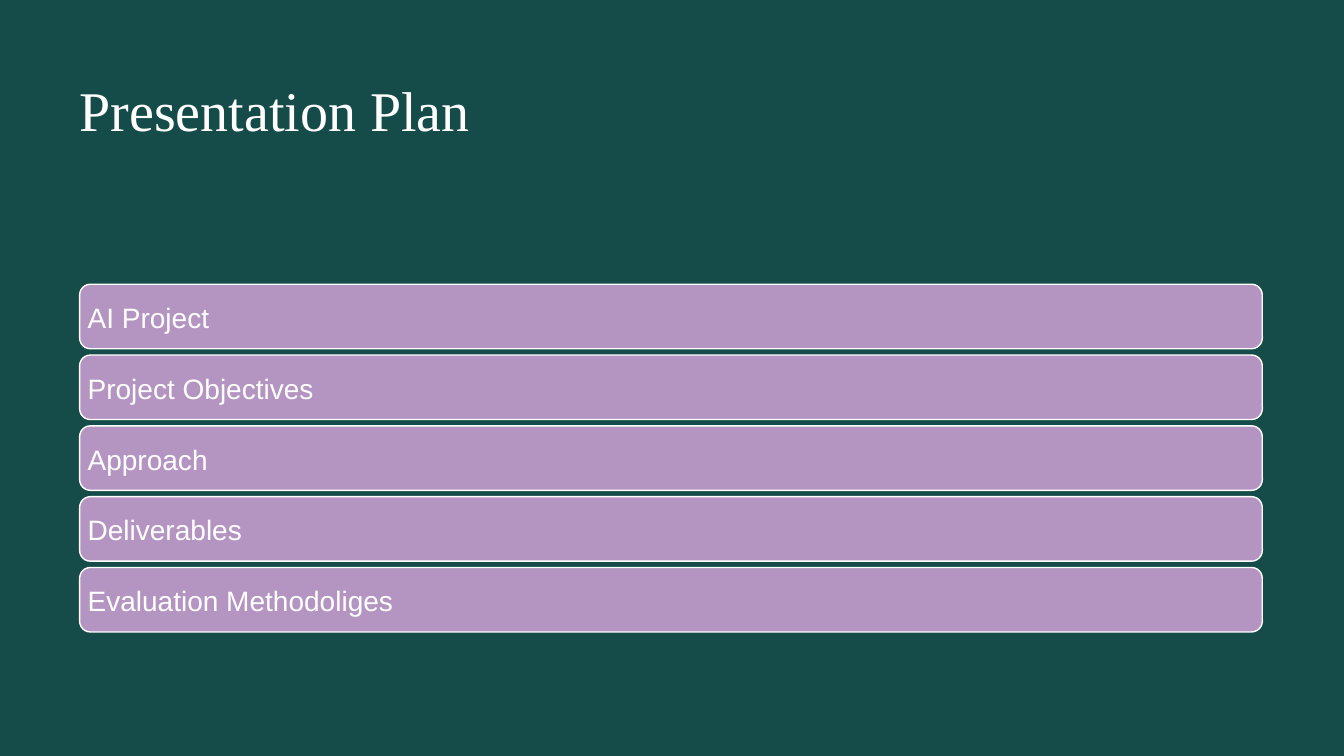
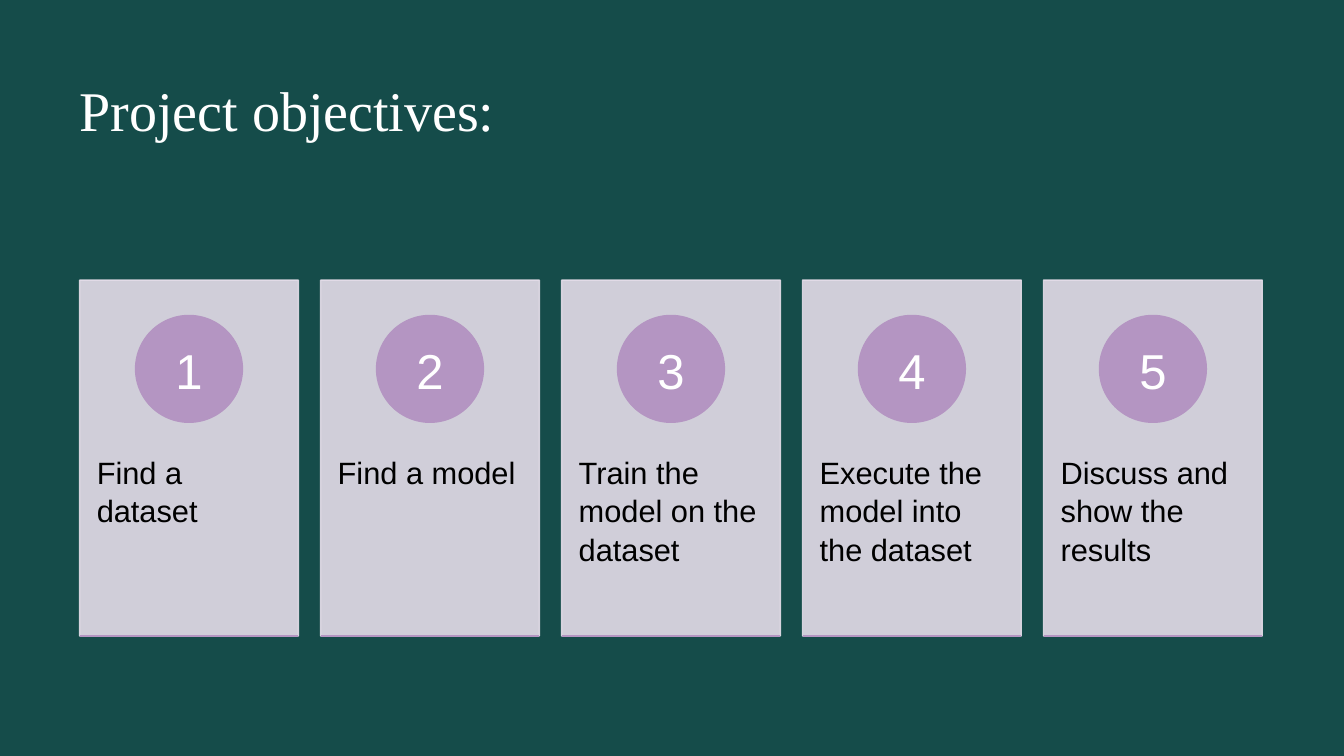
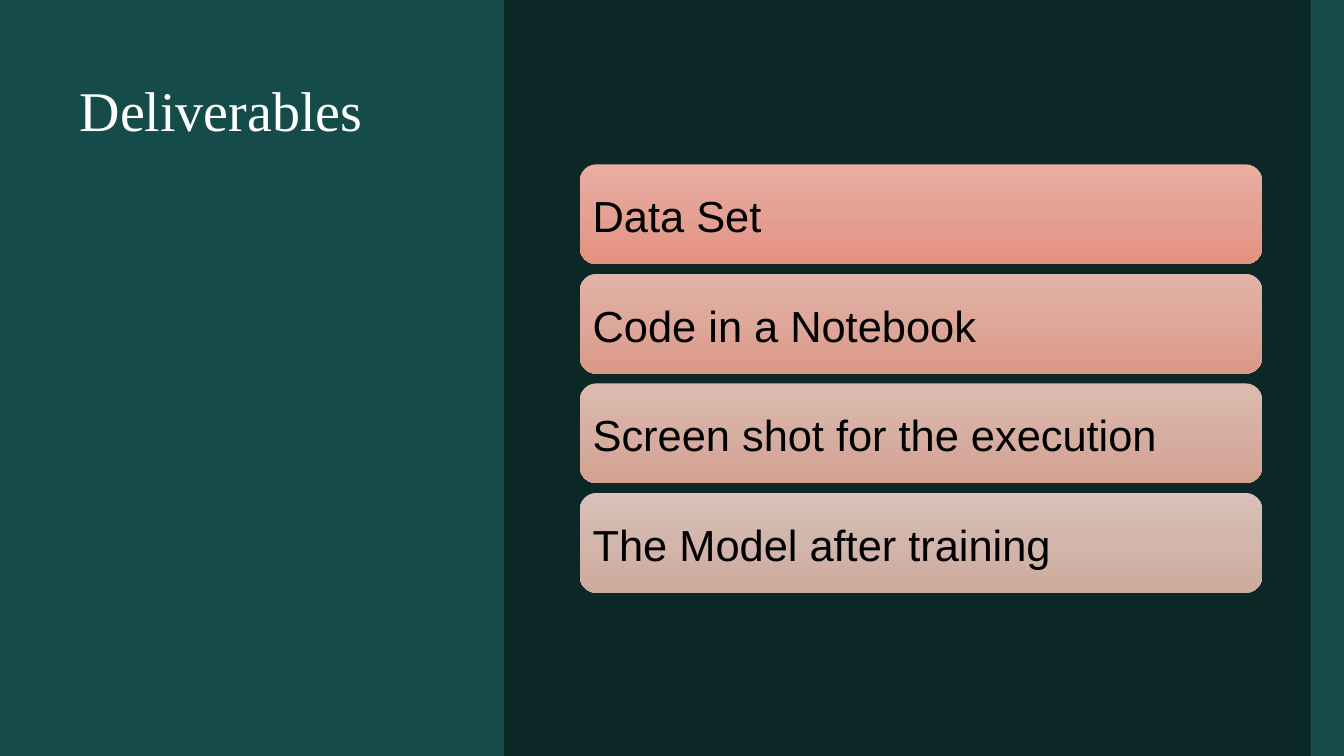
import copy

import pptx
import pptx.dml.color
import pptx.enum.shapes
import pptx.enum.text
import pptx.oxml
import pptx.oxml.ns
import pptx.util

Inches = pptx.util.Inches
SHAPES = pptx.enum.shapes.MSO_SHAPE
ANCHOR = pptx.enum.text.MSO_ANCHOR
ALIGN = pptx.enum.text.PP_ALIGN

COLORS = {
    "green": "154C4A",
    "dark": "0B2827",
    "purple": "B495C2",
    "lilac": "E5DDE9",
    "white": "FFFFFF",
    "black": "000000",
}
TITLE_FRAME = (0.79, 0.68, 11.73, 1.62)
BAR_GRADIENTS = [
    ("E9AEA1", "E4A194", "E5907F"),
    ("E2B3A7", "DDA799", "DB9886"),
    ("DDBAAF", "D7AEA2", "D4A191"),
    ("D9C0B8", "D2B5AB", "CEAA9D"),
]


def rgb(value):
    return pptx.dml.color.RGBColor.from_string(value)


def write(box, text, size=20, font="Arial", color="white", align=ALIGN.LEFT,
          anchor=ANCHOR.MIDDLE, margins=(0, 0, 0, 0), spacing=1.05):
    frame = box.text_frame
    frame.word_wrap = True
    frame.auto_size = pptx.enum.text.MSO_AUTO_SIZE.NONE
    frame.vertical_anchor = anchor
    frame.margin_left, frame.margin_top, frame.margin_right, frame.margin_bottom = map(Inches, margins)
    para = frame.paragraphs[0]
    para.alignment = align
    para.line_spacing = spacing
    span = para.add_run()
    span.text = text
    span.font.size = pptx.util.Pt(size)
    span.font.name = font
    span.font.color.rgb = rgb(COLORS[color])


def add_page(deck, title, frame=TITLE_FRAME):
    page = deck.slides.add_slide(deck.slide_layouts[5])
    box = page.shapes.title
    box.left, box.top, box.width, box.height = map(Inches, frame)
    write(box, title, size=40, font="Times New Roman", anchor=ANCHOR.TOP, spacing=1.1)
    return page


def add_box(page, kind, frame, fill=None, line=None):
    box = page.shapes.add_shape(kind, *map(Inches, frame))
    box.shadow.inherit = False
    if fill:
        box.fill.solid()
        box.fill.fore_color.rgb = rgb(COLORS[fill])
    if line:
        box.line.color.rgb = rgb(COLORS[line])
        box.line.width = pptx.util.Pt(1)
    else:
        box.line.fill.background()
    return box


def set_gradient(box, colors):
    box.fill.gradient()
    box.fill.gradient_angle = 270
    stop_list = box.fill.gradient_stops[0]._gs.getparent()
    stop_list.append(copy.deepcopy(stop_list[0]))
    for index, (stop, color) in enumerate(zip(box.fill.gradient_stops, colors)):
        stop.color.rgb = rgb(color)
        stop.position = index / (len(colors) - 1)


def set_opacity(box, percent):
    for color in box._element.spPr.iter(pptx.oxml.ns.qn("a:srgbClr")):
        alpha = color.makeelement(pptx.oxml.ns.qn("a:alpha"), {"val": str(percent * 1000)})
        color.append(alpha)


def add_bars(page, frame, labels, height, pad, size, text_color, fill=None, line=None, gradients=None):
    left, top, width, total = frame
    step = (total - height) / (len(labels) - 1)
    margin = pad - 0.05 * height
    for index, label in enumerate(labels):
        bar = add_box(page, SHAPES.ROUNDED_RECTANGLE, (left, top + index * step, width, height), fill, line)
        if gradients:
            set_gradient(bar, gradients[index])
        write(bar, label, size=size, color=text_color, margins=(margin,) * 4)


def add_card(page, frame, number, label):
    left, top, width, height = frame
    card = add_box(page, SHAPES.RECTANGLE, frame, "lilac", "lilac")
    set_opacity(card, 90)
    write(card, label, size=22, color="black", anchor=ANCHOR.TOP, margins=(0.17, 1.7, 0.17, 0.07))
    diameter = 1.06
    badge_frame = (left + (width - diameter) / 2, top + 0.35, diameter, diameter)
    badge = add_box(page, SHAPES.OVAL, badge_frame, "purple", "purple")
    write(badge, str(number), size=35, align=ALIGN.CENTER)
    bottom = top + height
    rule = page.shapes.add_connector(
        pptx.enum.shapes.MSO_CONNECTOR.STRAIGHT, *map(Inches, (left, bottom, left + width, bottom)))
    rule.line.color.rgb = rgb(COLORS["purple"])
    rule.line.width = pptx.util.Pt(1)
    rule._element.spPr.append(pptx.oxml.parse_xml(
        "<a:effectLst %s/>" % pptx.oxml.ns.nsdecls("a")))


def add_cards(page, frame, labels, card_width):
    left, top, width, height = frame
    step = (width - card_width) / (len(labels) - 1)
    for index, label in enumerate(labels):
        add_card(page, (left + index * step, top, card_width, height), index + 1, label)


def add_dark_panel(page, frame):
    left, top, width, height = frame
    edge = [(0.05, 7.5), (0.05, 7.29), (0, 4.17), (0.05, 2.81), (0.05, 1.18),
            (0.04, 0.95), (0.02, 0.77), (0, 0.6), (0.03, 0.11), (0.03, 0)]
    outline = [(width, 0), (width, height)] + edge
    points = [(left + x, top + y) for x, y in outline]
    builder = page.shapes.build_freeform(*points[0], scale=float(Inches(1)))
    builder.add_line_segments(points[1:], close=True)
    panel = builder.convert_to_shape()
    panel.shadow.inherit = False
    panel.fill.solid()
    panel.fill.fore_color.rgb = rgb(COLORS["dark"])
    panel.line.fill.background()


def add_plan_page(deck):
    page = add_page(deck, "Presentation Plan")
    labels = ["AI Project", "Project Objectives", "Approach", "Deliverables", "Evaluation Methodoliges"]
    add_bars(page, (0.79, 2.82, 11.73, 3.45), labels, height=0.64, pad=0.08, size=20,
             text_color="white", fill="purple", line="white")


def add_objectives_page(deck):
    page = add_page(deck, "Project objectives:")
    labels = ["Find a dataset", "Find a model", "Train the model on the dataset",
              "Execute the model into the dataset", "Discuss and show the results"]
    add_cards(page, (0.79, 2.78, 11.73, 3.53), labels, card_width=2.17)


def add_deliverables_page(deck):
    page = add_page(deck, "Deliverables", (0.79, 0.68, 3.4, 6.03))
    add_dark_panel(page, (4.79, 0, 8.54, 7.5))
    labels = ["Data Set", "Code in a Notebook", "Screen shot for the execution", "The Model after training"]
    add_bars(page, (5.75, 1.63, 6.77, 4.25), labels, height=0.99, pad=0.13, size=31,
             text_color="black", gradients=BAR_GRADIENTS)


def main():
    deck = pptx.Presentation()
    deck.slide_width, deck.slide_height = Inches(13.33), Inches(7.5)
    background = deck.slide_master.background.fill
    background.solid()
    background.fore_color.rgb = rgb(COLORS["green"])
    add_plan_page(deck)
    add_objectives_page(deck)
    add_deliverables_page(deck)
    deck.save("out.pptx")


if __name__ == "__main__":
    main()
